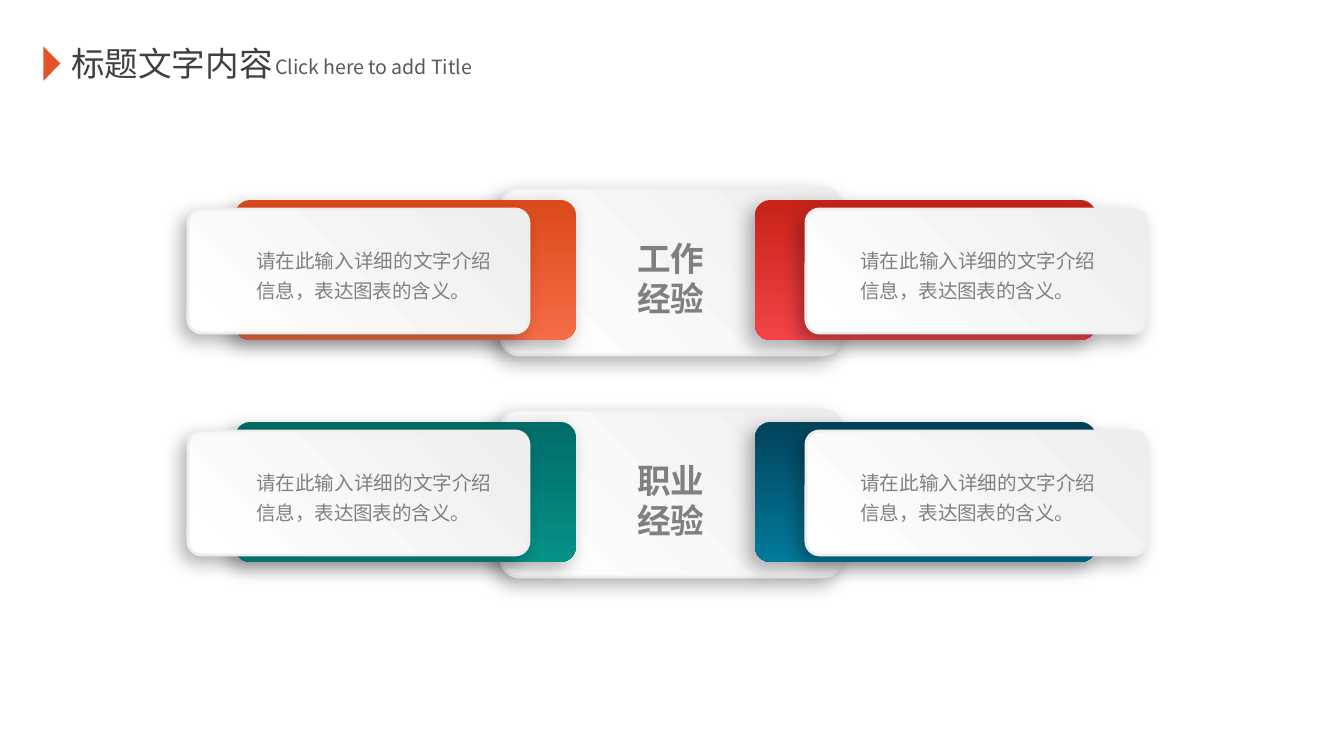
from copy import deepcopy
from lxml.etree import SubElement
from pptx import Presentation
from pptx.dml.color import RGBColor
from pptx.enum.shapes import MSO_SHAPE as Shape
from pptx.enum.text import MSO_AUTO_SIZE as AutoSize, PP_ALIGN as Align
from pptx.oxml import parse_xml
from pptx.oxml.ns import nsdecls, qn
from pptx.util import Pt

PX = 914400 / 134.4
FONT = "Noto Sans CJK SC"
DETAIL = "请在此输入详细的文字介绍信息，表达图表的含义。"
PANEL_COLORS = ("EEEEEE", "FFFFFF")
PANEL_W, PANEL_H = 341, 167
BAND_H, CARD_H = 140, 124


def color(value):
    return RGBColor.from_string(value)


def emu(*pixels):
    return [round(value * PX) for value in pixels]


def add_words(slide, box, lines, size, tone, bold=False, align=None,
              spacing=None, wrap=True, insets=None):
    words = slide.shapes.add_textbox(*emu(*box))
    frame = words.text_frame
    frame.word_wrap = wrap
    frame.auto_size = AutoSize.SHAPE_TO_FIT_TEXT
    if insets:
        frame.margin_left = frame.margin_right = round(insets[0] * PX)
        frame.margin_top = frame.margin_bottom = round(insets[1] * PX)
    frame.text = "\n".join(lines)
    for paragraph in frame.paragraphs:
        paragraph.alignment = align
        paragraph.line_spacing = spacing
        for run in paragraph.runs:
            run.font.size = Pt(size)
            run.font.bold = bold
            run.font.name = FONT
            run.font.color.rgb = color(tone)
            SubElement(run.font._element, qn("a:ea")).set("typeface", FONT)


def add_plate(slide, box, colors, angle, bordered=False):
    plate = slide.shapes.add_shape(Shape.ROUNDED_RECTANGLE, *emu(*box))
    plate.adjustments[0] = 0.11
    plate.fill.gradient()
    plate.fill.gradient_angle = angle
    for stop, tone in zip(plate.fill.gradient_stops, colors):
        stop.color.rgb = color(tone)
    properties = plate._element.spPr
    if bordered:
        plate.line.width = Pt(1.5)
        gradient = properties.find(qn("a:gradFill"))
        properties.find(qn("a:ln")).append(deepcopy(gradient))
    else:
        plate.line.fill.background()
    properties.append(parse_xml(
        f'<a:effectLst {nsdecls("a")}>'
        f'<a:outerShdw blurRad="{Pt(10)}" dist="{Pt(5)}" dir="8100000" '
        'algn="tr" rotWithShape="0"><a:srgbClr val="000000">'
        '<a:alpha val="30000"/></a:srgbClr></a:outerShdw></a:effectLst>'))


def add_panel(slide, box):
    add_plate(slide, box, PANEL_COLORS, 225, bordered=True)


def add_heading(slide, left, top):
    add_words(slide, (left + 23, top, 240, 54), ["标题文字内容"], 18,
              "404040", wrap=False)
    marker = slide.shapes.add_shape(
        Shape.ISOSCELES_TRIANGLE, *emu(left, top + 19, 34, 17))
    marker.rotation = 90
    marker.shadow.inherit = False
    marker.fill.solid()
    marker.fill.fore_color.rgb = color("E2532A")
    marker.line.fill.background()
    add_words(slide, (left + 227, top + 12, 238, 38),
              ["Click here to add Title"], 10.5, "595959", wrap=False)


def add_experience(slide, left, top, label, right_colors, left_colors):
    add_panel(slide, (left + 313, top, PANEL_W, PANEL_H))
    add_words(slide, (left + 364, top + 46, 238, 89), label, 18, "808080",
              bold=True, align=Align.CENTER, insets=(8, 4))
    sides = ((567, 618, 659, right_colors), (47, 0, 55, left_colors))
    for band_x, card_x, detail_x, band_colors in sides:
        add_plate(slide, (left + band_x, top + 12, PANEL_W, BAND_H),
                  band_colors, 270)
        add_panel(slide, (left + card_x, top + 21, PANEL_W, CARD_H))
        add_words(slide, (left + detail_x, top + 47, 262, 73), [DETAIL],
                  10.5, "808080", align=Align.JUSTIFY, spacing=1.3)


deck = Presentation()
deck.slide_width, deck.slide_height = emu(1344, 756)
slide = deck.slides.add_slide(deck.slide_layouts[6])

add_heading(slide, 35, 36)
experiences = (
    (("工作", "经验"), ("C72319", "F34347"), ("DC4A1B", "F66C47")),
    (("职业", "经验"), ("03435C", "037A9B"), ("026C68", "059188")),
)
for row, experience in enumerate(experiences):
    add_experience(slide, 188, 188 + 222 * row, *experience)

deck.save("out.pptx")
